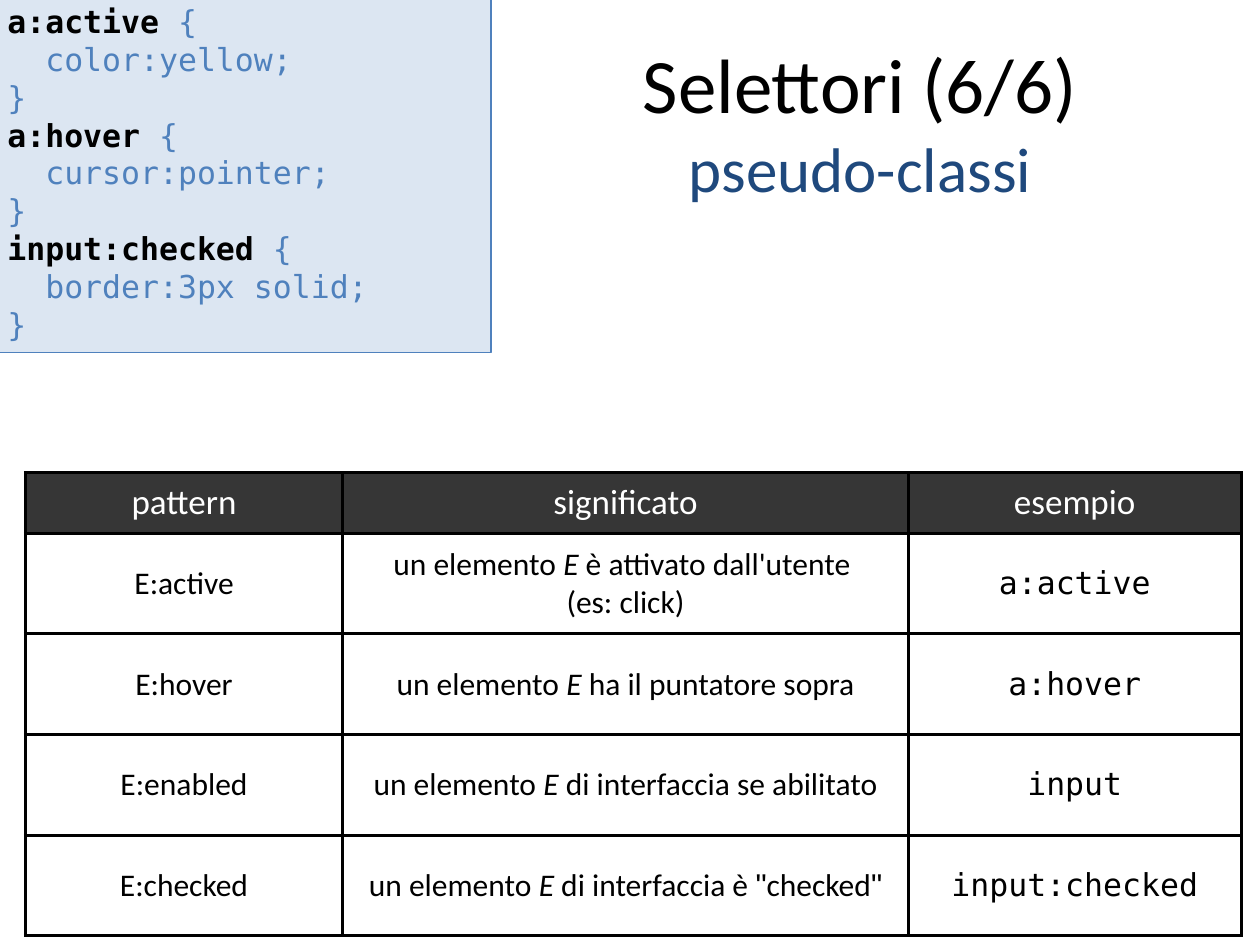
import itertools

import pptx
import pptx.dml.color
import pptx.enum.shapes
import pptx.enum.text
import pptx.oxml
import pptx.oxml.ns
import pptx.util

Cm = pptx.util.Cm
RGBColor = pptx.dml.color.RGBColor
BLACK = RGBColor(0x00, 0x00, 0x00)
WHITE = RGBColor(0xFF, 0xFF, 0xFF)
DARK = RGBColor(0x36, 0x36, 0x36)
NAVY = RGBColor(0x1F, 0x49, 0x7D)
BLUE = RGBColor(0x4F, 0x81, 0xBD)
PALE = RGBColor(0xDC, 0xE6, 0xF2)
SANS, MONO, QUOTE = "Calibri", "DejaVu Sans Mono", "Arial"

RULES = [
    ("a:active", "color:yellow;"),
    ("a:hover", "cursor:pointer;"),
    ("input:checked", "border:3px solid;"),
]
HEADS = ["pattern", "significato", "esempio"]
ROWS = [
    ("E:active", " è attivato dall'utente \v(es: click)", "a:active"),
    ("E:hover", " ha il puntatore sopra", "a:hover"),
    ("E:enabled", " di interfaccia se abilitato", "input"),
    ("E:checked", ' di interfaccia è "checked"', "input:checked"),
]


class Deck:
    def __init__(self):
        self.show = pptx.Presentation()
        self.show.slide_width = Cm(25.4)
        self.show.slide_height = Cm(19.05)
        self.slide = self.show.slides.add_slide(self.show.slide_layouts[5])

    def style(self, run, size=18, color=BLACK, face=SANS, bold=False, slant=False):
        font = run.font
        font.size = pptx.util.Pt(size)
        font.name = face
        font.bold = bold
        font.italic = slant
        font.color.rgb = color

    def add(self, para, text, **look):
        run = para.add_run()
        run.text = text
        self.style(run, **look)

    def title(self, head, sub):
        box = self.slide.shapes.title
        box.left, box.top = Cm(9.91), Cm(0.43)
        box.width, box.height = Cm(14.86), Cm(4.01)
        para = box.text_frame.paragraphs[0]
        para.text = f"{head}\v{sub}"
        para.alignment = pptx.enum.text.PP_ALIGN.CENTER
        self.style(para.runs[0], 44)
        self.style(para.runs[1], 36, NAVY)

    def code(self, rules):
        box = self.slide.shapes.add_shape(
            pptx.enum.shapes.MSO_SHAPE.RECTANGLE,
            Cm(-0.1), Cm(-0.08), Cm(10), Cm(7.19))
        box.shadow.inherit = False
        box.fill.solid()
        box.fill.fore_color.rgb = PALE
        box.line.color.rgb = BLUE
        box.line.width = pptx.util.Pt(0.75)
        frame = box.text_frame
        frame.word_wrap = True
        frame.vertical_anchor = pptx.enum.text.MSO_ANCHOR.TOP
        frame.text = "\n".join(f"\n  {body}\n}}" for _, body in rules)
        for para in frame.paragraphs:
            para.alignment = pptx.enum.text.PP_ALIGN.LEFT
            for run in para.runs:
                self.style(run, color=BLUE, face=MONO)
        for para, (name, _) in zip(frame.paragraphs[::3], rules):
            self.add(para, name, face=MONO, bold=True)
            self.add(para, " {", color=BLUE, face=MONO)

    def border(self, cell):
        props = cell._tc.get_or_add_tcPr()
        space = pptx.oxml.ns.nsdecls("a")
        for side in "LRTB":
            props.append(pptx.oxml.parse_xml(
                f'<a:ln{side} {space} w="25400"><a:solidFill>'
                f'<a:srgbClr val="{BLACK}"/></a:solidFill></a:ln{side}>'))

    def cell(self, cell, fill):
        self.border(cell)
        cell.fill.solid()
        cell.fill.fore_color.rgb = fill
        cell.vertical_anchor = pptx.enum.text.MSO_ANCHOR.MIDDLE
        cell.margin_left = cell.margin_right = Cm(0.1)
        cell.margin_top = cell.margin_bottom = Cm(0.1)
        para = cell.text_frame.paragraphs[0]
        para.alignment = pptx.enum.text.PP_ALIGN.CENTER
        return para

    def sense(self, para, text):
        self.add(para, "un elemento ")
        self.add(para, "E", slant=True)
        for mark, part in itertools.groupby(text, lambda c: c if c in '"\v' else ""):
            if mark == "\v":
                para.add_line_break()
            else:
                self.add(para, "".join(part), face=QUOTE if mark else SANS)

    def table(self, heads, rows):
        wide = [Cm(6.4), Cm(11.4), Cm(6.71)]
        high = [Cm(1.22)] + [Cm(2.03)] * len(rows)
        grid = self.slide.shapes.add_table(
            len(high), len(wide), Cm(0.51), Cm(9.53), sum(wide), sum(high)).table
        grid.horz_banding = False
        for col, width in zip(grid.columns, wide):
            col.width = width
        for row, height in zip(grid.rows, high):
            row.height = height
        for cell, head in zip(grid.rows[0].cells, heads):
            self.add(self.cell(cell, DARK), head, size=20, color=WHITE)
        for num, (name, text, case) in enumerate(rows, 1):
            left, mid, right = [self.cell(c, WHITE) for c in grid.rows[num].cells]
            self.add(left, name)
            self.sense(mid, text)
            self.add(right, case, face=MONO)


def main():
    deck = Deck()
    deck.title("Selettori (6/6)", "pseudo-classi")
    deck.table(HEADS, ROWS)
    deck.code(RULES)
    deck.show.save("out.pptx")


if __name__ == "__main__":
    main()
